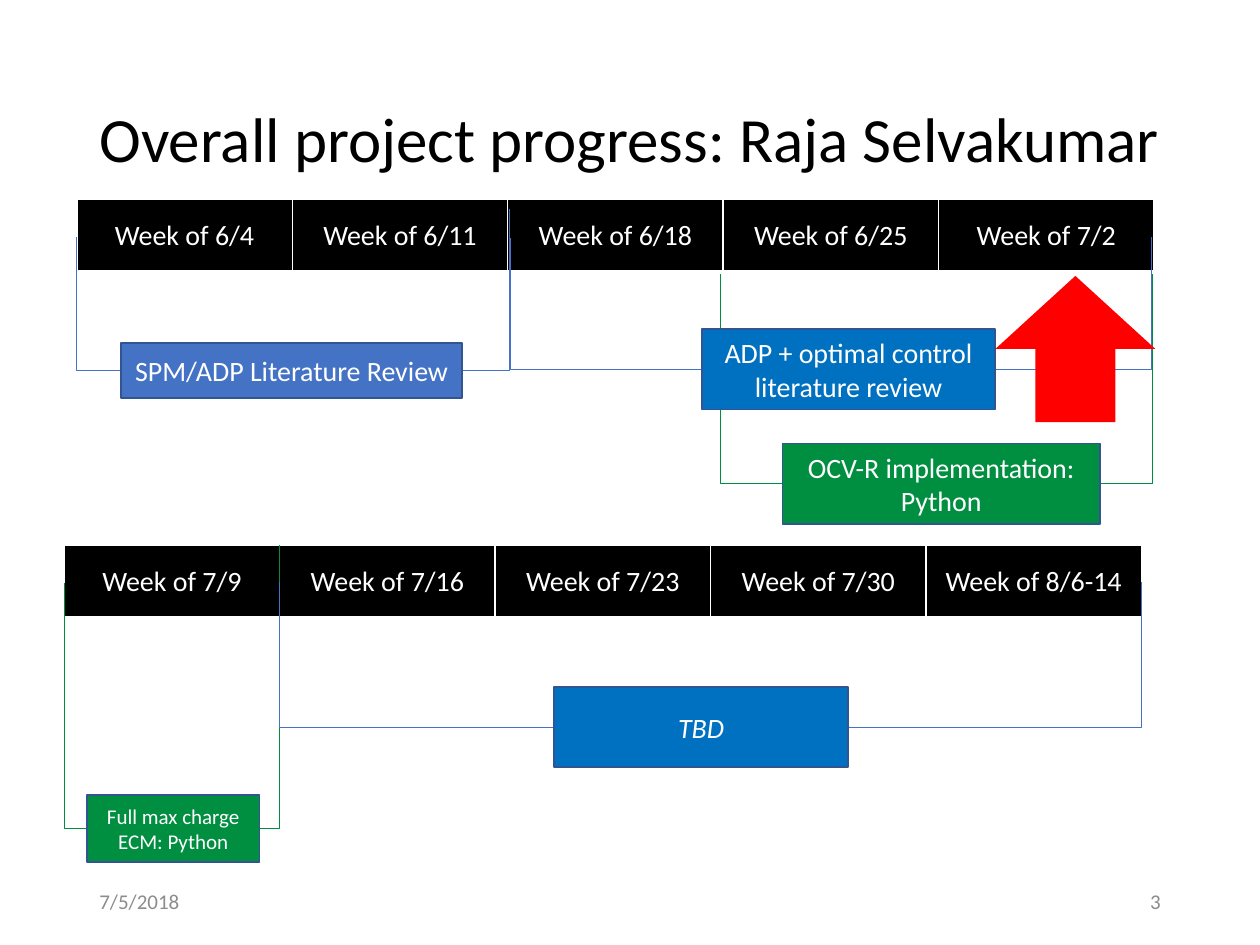
from lxml import etree
from pptx import Presentation
from pptx.dml.color import RGBColor
from pptx.enum.shapes import MSO_CONNECTOR, MSO_SHAPE
from pptx.enum.text import MSO_ANCHOR, PP_ALIGN
from pptx.oxml.ns import qn
from pptx.util import Inches, Pt

ELBOW = MSO_CONNECTOR.ELBOW
RECTANGLE, UP_ARROW = MSO_SHAPE.RECTANGLE, MSO_SHAPE.UP_ARROW
MIDDLE = MSO_ANCHOR.MIDDLE
LEFT, CENTER, RIGHT = PP_ALIGN.LEFT, PP_ALIGN.CENTER, PP_ALIGN.RIGHT

FONT = "Calibri"
WHITE, BLACK, GRAY, RED = "FFFFFF", "000000", "8C8C8C", "FF0000"
BLUE, BRIGHT_BLUE, GREEN, OUTLINE = "4472C4", "0070C0", "008E40", "325491"


def color(hex_text):
    """Turn a hex string into a colour."""
    return RGBColor.from_string(hex_text)


def write(frame, text, size=16, fill=WHITE, align=CENTER, italic=False, spacing=None):
    """Write one formatted paragraph into a text frame."""
    frame.word_wrap = True
    para = frame.paragraphs[0]
    para.alignment = align
    para.line_spacing = spacing
    span = para.add_run()
    span.text = text
    span.font.name = FONT
    span.font.size = Pt(size)
    span.font.italic = italic
    span.font.color.rgb = color(fill)


def add_label(page, box, text, **style):
    """Add a plain text box, centred vertically."""
    frame = page.shapes.add_textbox(*map(Inches, box)).text_frame
    frame.vertical_anchor = MIDDLE
    write(frame, text, **style)


def add_solid(page, kind, box, fill):
    """Add a filled preset shape without a shadow or outline."""
    shape = page.shapes.add_shape(kind, *map(Inches, box))
    shape.shadow.inherit = False
    shape.fill.solid()
    shape.fill.fore_color.rgb = color(fill)
    shape.line.fill.background()
    return shape


def add_border(cell, side, width):
    """Draw a white border on one side of a cell."""
    line = etree.SubElement(cell._tc.get_or_add_tcPr(), qn("a:ln" + side), w=str(Pt(width)))
    fill = etree.SubElement(line, qn("a:solidFill"))
    etree.SubElement(fill, qn("a:srgbClr"), val=WHITE)


def add_weeks(page, box, weeks):
    """Add a one-row table of equal week columns."""
    table = page.shapes.add_table(1, len(weeks), *map(Inches, box)).table
    for index, week in enumerate(weeks):
        table.columns[index].width = Inches(box[2] / len(weeks))
        cell = table.cell(0, index)
        for side, width in (("L", 1), ("R", 1), ("T", 1), ("B", 3)):
            add_border(cell, side, width)
        cell.fill.solid()
        cell.fill.fore_color.rgb = color(BLACK)
        cell.vertical_anchor = MIDDLE
        write(cell.text_frame, "Week of " + week)


def add_arm(page, start, end, stroke):
    """Add a connector that runs sideways and then up to its end."""
    arm = page.shapes.add_connector(ELBOW, *map(Inches, start + end))
    arm.line.color.rgb = color(stroke)
    arm.line.width = Pt(0.5)
    properties = arm._element.spPr
    properties.find(qn("a:prstGeom")).set("prst", "bentConnector2")
    etree.SubElement(properties, qn("a:effectLst"))


def add_task(page, box, text, fill, stroke, left_end, right_end, **style):
    """Add a task box with an arm from each side up to the weeks it spans."""
    left, top, width, height = box
    middle = top + height / 2
    add_arm(page, (left, middle), left_end, stroke)
    add_arm(page, (left + width, middle), right_end, stroke)
    task = add_solid(page, RECTANGLE, box, fill)
    task.line.color.rgb = color(OUTLINE)
    task.line.width = Pt(1)
    task.text_frame.vertical_anchor = MIDDLE
    write(task.text_frame, text, **style)


def add_june_plan(page):
    """Place the first five weeks, their tasks and the current-week arrow."""
    add_task(page, (6.21, 3.52, 2.52, 0.64), "OCV-R implementation: Python",
             GREEN, GREEN, (5.72, 1.85), (9.15, 1.85))
    add_weeks(page, (0.61, 1.58, 8.55, 0.58), ["6/4", "6/11", "6/18", "6/25", "7/2"])
    add_task(page, (0.96, 2.72, 2.71, 0.44), "SPM/ADP Literature Review",
             BLUE, BLUE, (0.61, 1.88), (4.04, 1.66))
    add_task(page, (5.57, 2.61, 2.33, 0.64), "ADP + optimal control literature review",
             BRIGHT_BLUE, BLUE, (4.05, 1.89), (9.14, 1.88))
    add_solid(page, UP_ARROW, (7.9, 2.19, 1.27, 1.16), RED)


def add_july_plan(page):
    """Place the last five weeks and their tasks."""
    add_weeks(page, (0.51, 4.33, 8.55, 0.58), ["7/9", "7/16", "7/23", "7/30", "8/6-14"])
    add_task(page, (0.69, 6.31, 1.37, 0.53), "Full max charge ECM: Python",
             GREEN, GREEN, (0.51, 4.63), (2.22, 4.33), size=12)
    add_task(page, (4.4, 5.45, 2.33, 0.64), "TBD",
             BRIGHT_BLUE, BLUE, (2.22, 4.62), (9.06, 4.62), italic=True)


def build():
    """Build and save the progress slide."""
    deck = Presentation()
    deck.slide_width, deck.slide_height = Inches(10), Inches(7.5)
    page = deck.slides.add_slide(deck.slide_layouts[6])
    add_label(page, (0.69, 0.4, 8.62, 1.45), "Overall project progress: Raja Selvakumar",
              size=36, fill=BLACK, align=LEFT, spacing=0.9)
    add_june_plan(page)
    add_july_plan(page)
    add_label(page, (0.69, 6.95, 2.25, 0.4), "7/5/2018", size=12, fill=GRAY, align=LEFT)
    add_label(page, (7.06, 6.95, 2.25, 0.4), "3", size=12, fill=GRAY, align=RIGHT)
    deck.save("out.pptx")


build()
